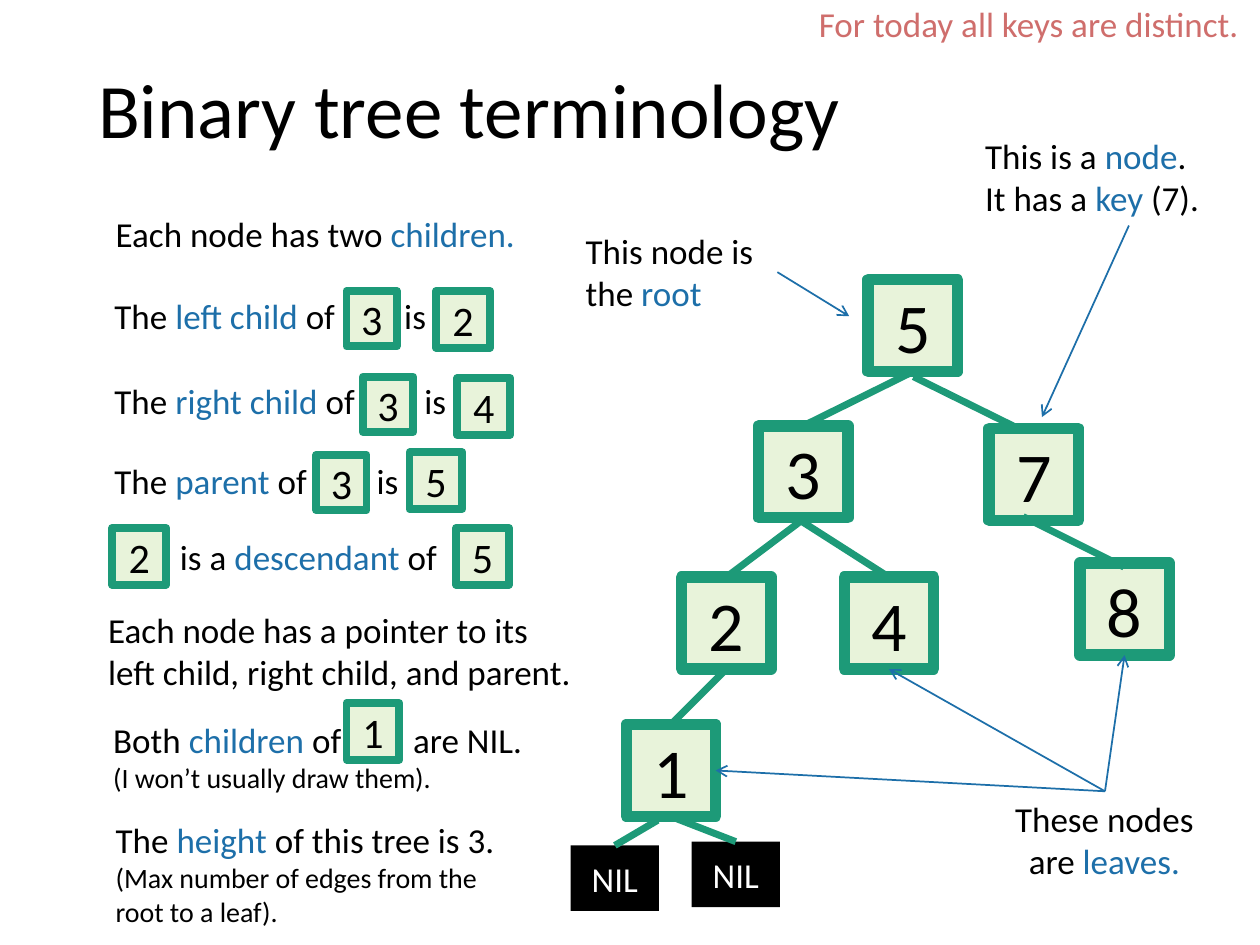
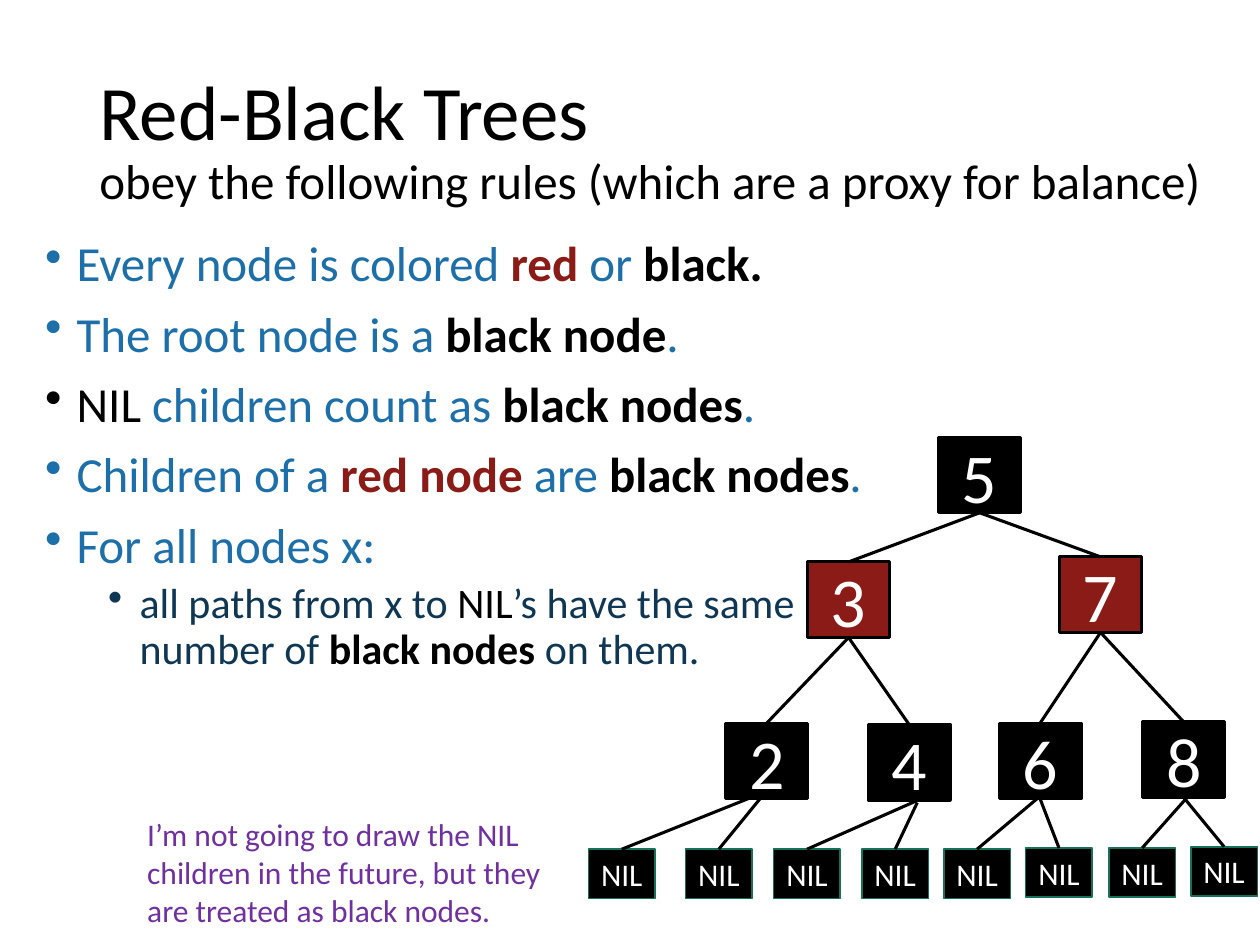
from lxml.etree import SubElement
from pptx import Presentation
from pptx.dml.color import RGBColor
from pptx.enum.shapes import MSO_CONNECTOR as CONNECTOR, MSO_SHAPE as SHAPE
from pptx.enum.text import MSO_ANCHOR as ANCHOR, PP_ALIGN as ALIGN
from pptx.oxml.ns import qn
from pptx.util import Emu, Pt

# Shared look: 100 px to the inch
SCALE = 9144
FONT = "Calibri"
BLACK, WHITE, BLUE, NAVY = "000000", "FFFFFF", "1D6FA9", "0F3754"
GREEN, PALE, DARK_GREEN = "1D9A78", "E8F3DA", "157259"
RED, ROSE, PURPLE = "8B1B17", "CF6E6C", "7030A0"
TOP, LEFT, BOTTOM, RIGHT = range(4)

# Box styles: fill, line colour, line width, text colour, text size
TREE_NODE = (PALE, GREEN, 6.5, BLACK, 40)
INLINE_NODE = (PALE, GREEN, 4.5, BLACK, 24)
NIL_PLAIN = (BLACK, None, 0, WHITE, 20)
BLACK_NODE = (BLACK, BLACK, 1.75, WHITE, 40)
RED_NODE = (RED, BLACK, 1.75, WHITE, 40)
NIL_SMALL = (BLACK, DARK_GREEN, 1, WHITE, 18)

# Slide 1. A run is (text, colour[, size[, bold]]).
TERMS_TITLE = [[("Binary tree terminology", BLACK, 44)]]
TERMS_NODES = {"4": (670, 458), "2": (541, 458), "8": (857, 447), "7": (785, 340),
               "1": (497, 575), "3": (602, 338), "5": (689, 222)}
TERMS_NILS = {"right NIL": (549, 668), "left NIL": (453, 671)}

# A connector end is a point, or a box name with one of its sides
TERMS_EDGES = [
    ((725, 299), (804, 338)),
    ((812, 410), (892, 450)),
    ((635, 413), ("4", TOP)),
    (("5", BOTTOM), ("3", TOP)),
    ((635, 414), ("2", TOP)),
    (("2", BOTTOM), ("1", TOP)),
    ((522, 651), ("left NIL", TOP)),
    (("1", BOTTOM), ("right NIL", TOP)),
]
LEAVES_LABEL = (877, 628)
TERMS_ARROWS = [
    ((896, 179), (827, 331)),
    ((617, 216), (674, 251)),
    (LEAVES_LABEL, ("1", RIGHT)),
    (LEAVES_LABEL, ("4", BOTTOM)),
    (LEAVES_LABEL, ("8", BOTTOM)),
]

# Tree labels: area, alignment, paragraphs
TERMS_LABELS = [
    ((455, 177, 163, 77), ALIGN.LEFT,
     [[("This node is the ", BLACK), ("root", BLUE)]]),
    ((772, 102, 248, 77), ALIGN.LEFT,
     [[("This is a ", BLACK), ("node", BLUE), (".", BLACK)],
      [("It has a ", BLACK), ("key", BLUE), (" (7).", BLACK)]]),
    ((788, 628, 177, 77), ALIGN.CENTER,
     [[("These nodes are ", BLACK), ("leaves.", BLUE)]]),
    ((640, -3, 375, 44), ALIGN.LEFT,
     [[("For today all keys are distinct.", ROSE)]]),
]

# Statements: area, tab stop past the inline node, paragraphs
STATEMENTS = [
    ((82, 164, 370, 44), None,
     [[("Each node has two ", BLACK), ("children.", BLUE)]]),
    ((81, 229, 302, 44), 230,
     [[("The ", BLACK), ("left child ", BLUE), ("of\tis", BLACK)]]),
    ((81, 296, 361, 44), 246,
     [[("The ", BLACK), ("right child ", BLUE), ("of\tis", BLACK)]]),
    ((81, 360, 361, 44), 208,
     [[("The ", BLACK), ("parent ", BLUE), ("of\tis", BLACK)]]),
    ((133, 420, 345, 44), None,
     [[("is a ", BLACK), ("descendant", BLUE), (" of", BLACK)]]),
    ((76, 478, 389, 77), None,
     [[("Each node has a pointer to its left child, right child, and parent.", BLACK)]]),
    ((80, 565, 367, 71), 238,
     [[("Both ", BLACK), ("children ", BLUE), ("of\tare NIL.", BLACK)],
      [("(I won’t usually draw them).", BLACK, 16)]]),
    ((82, 645, 336, 98), None,
     [[("The ", BLACK), ("height ", BLUE), ("of this tree is 3. ", BLACK),
       ("(Max number of edges from the root to a leaf).", BLACK, 16)]]),
]
INLINE_NODES = [
    ("3", (275, 231, 40, 44)), ("2", (346, 231, 43, 45)),
    ("3", (288, 299, 40, 44)), ("4", (363, 300, 42, 45)),
    ("3", (251, 361, 40, 44)), ("5", (325, 359, 42, 45)),
    ("2", (89, 419, 43, 45)), ("5", (362, 419, 42, 45)),
    ("1", (275, 558, 42, 45)),
]

# Slide 2
RULES_TITLE = [
    [("Red-Black Trees", BLACK, 44)],
    [("obey the following rules (which are a proxy for balance)", BLACK, 28)],
]
RULES = [
    [("Every node is colored ", BLUE), ("red", RED, 28, True), (" or ", BLUE),
     ("black.", BLACK, 28, True)],
    [("The root node is a ", BLUE), ("black node", BLACK, 28, True), (".", BLUE)],
    [("NIL", BLACK), (" children count as ", BLUE), ("black nodes", BLACK, 28, True),
     (".", BLUE)],
    [("Children of a ", BLUE), ("red node ", RED, 28, True), ("are ", BLUE),
     ("black nodes", BLACK, 28, True), (".", BLUE)],
    [("For all nodes x:", BLUE)],
    [("all paths from x to ", NAVY, 24), ("NIL", BLACK, 24),
     ("’s have the same number of ", NAVY, 24), ("black nodes ", BLACK, 24, True),
     ("on them.", NAVY, 24)],
]
RULE_LEVELS = [0, 0, 0, 0, 0, 1]
LEVEL_LAYOUT = [(25, 10), (75, 5)]  # text indent, space before
NIL_NOTE = [[("I’m not going to draw the NIL children in the future, "
              "but they are treated as black nodes.", PURPLE)]]
RULES_NODES = {"4": (689, 575), "2": (576, 574), "8": (907, 573), "7": (841, 442),
               "3": (641, 446), "5": (745, 347), "6": (793, 574)}
RED_KEYS = "37"
RULES_NILS = [(467, 674), (544, 674), (614, 674), (684, 674),
              (749, 674), (814, 673), (880, 673), (945, 672)]
RULES_CHILDREN = {"5": "37", "3": "24", "7": "68"}
# Where the line to each NIL starts, left to right
NIL_STARTS = [(601, 631), (604, 633), (731, 634), (728, 637),
              (823, 634), ("6", BOTTOM), (943, 632), ("8", BOTTOM)]


def color(hex_string):
    return RGBColor.from_string(hex_string)


def px(*lengths):
    return [Emu(length * SCALE) for length in lengths]


def style_font(font, size, hex_string, bold=False):
    font.name = FONT
    font.size = Pt(size)
    font.bold = bold
    font.color.rgb = color(hex_string)


def add_text(slide, area, paragraphs, size=20, align=ALIGN.LEFT, tab=None,
             spacing=None, anchor=ANCHOR.TOP):
    text_frame = slide.shapes.add_textbox(*px(*area)).text_frame
    text_frame.word_wrap = True
    text_frame.vertical_anchor = anchor
    for index, runs in enumerate(paragraphs):
        paragraph = text_frame.add_paragraph() if index else text_frame.paragraphs[0]
        paragraph.alignment = align
        if spacing:
            paragraph.line_spacing = spacing
        if tab:
            tabs = SubElement(paragraph._p.get_or_add_pPr(), qn("a:tabLst"))
            SubElement(tabs, qn("a:tab"), pos=str(tab * SCALE), algn="l")
        for text, hex_string, *extra in runs:
            run = paragraph.add_run()
            run.text = text
            run_size, bold = (extra + [size, False][len(extra):])
            style_font(run.font, run_size, hex_string, bold)
    return text_frame


def add_title(slide, area, paragraphs):
    add_text(slide, area, paragraphs, spacing=0.9, anchor=ANCHOR.MIDDLE)


def add_box(slide, area, text, style):
    fill, line, width, text_color, size = style
    shape = slide.shapes.add_shape(SHAPE.RECTANGLE, *px(*area))
    shape.shadow.inherit = False
    shape.fill.solid()
    shape.fill.fore_color.rgb = color(fill)
    if line:
        shape.line.color.rgb = color(line)
        shape.line.width = Pt(width)
    else:
        shape.line.fill.background()
    shape.text_frame.text = text
    paragraph = shape.text_frame.paragraphs[0]
    paragraph.alignment = ALIGN.CENTER
    style_font(paragraph.runs[0].font, size, text_color)
    return shape


def add_line(slide, boxes, start, end, hex_string, width, arrow=False):
    joined = [point[0] in boxes for point in (start, end)]
    points = [(0, 0) if join else point for join, point in zip(joined, (start, end))]
    connector = slide.shapes.add_connector(CONNECTOR.STRAIGHT, *px(*points[0], *points[1]))
    if joined[0]:
        connector.begin_connect(boxes[start[0]], start[1])
    if joined[1]:
        connector.end_connect(boxes[end[0]], end[1])
    connector.line.color.rgb = color(hex_string)
    connector.line.width = Pt(width)
    if arrow:
        SubElement(connector.line._get_or_add_ln(), qn("a:tailEnd"), type="arrow")
    SubElement(connector._element.spPr, qn("a:effectLst"))


def add_bullets(text_frame):
    for index, (paragraph, level) in enumerate(zip(text_frame.paragraphs, RULE_LEVELS)):
        indent, before = LEVEL_LAYOUT[level]
        paragraph.level = level
        if index:
            paragraph.space_before = Pt(before)
        properties = paragraph._p.get_or_add_pPr()
        properties.set("marL", str(indent * SCALE))
        properties.set("indent", str(-25 * SCALE))
        SubElement(properties, qn("a:buChar"), char="•")


def build_terminology(slide):
    add_title(slide, (68, 46, 862, 89), TERMS_TITLE)

    # Tree
    boxes = {key: add_box(slide, (*place, 71, 73), key, TREE_NODE)
             for key, place in TERMS_NODES.items()}
    for name, place in TERMS_NILS.items():
        boxes[name] = add_box(slide, (*place, 70, 52), "NIL", NIL_PLAIN)
    for start, end in TERMS_EDGES:
        add_line(slide, boxes, start, end, GREEN, 4)

    # Labels pointing at the tree
    for area, align, paragraphs in TERMS_LABELS:
        add_text(slide, area, paragraphs, align=align)
    for start, end in TERMS_ARROWS:
        add_line(slide, boxes, start, end, BLUE, 1, arrow=True)

    # Statements with inline nodes
    for area, tab, paragraphs in STATEMENTS:
        add_text(slide, area, paragraphs, tab=tab)
    for key, area in INLINE_NODES:
        add_box(slide, area, key, INLINE_NODE)


def build_rules(slide):
    add_title(slide, (69, 40, 945, 145), RULES_TITLE)
    add_bullets(add_text(slide, (26, 185, 701, 476), RULES, size=28, spacing=0.9))

    # Tree
    boxes = {key: add_box(slide, (*place, 65, 60), key,
                          RED_NODE if key in RED_KEYS else BLACK_NODE)
             for key, place in RULES_NODES.items()}
    for parent, children in RULES_CHILDREN.items():
        for child in children:
            add_line(slide, boxes, (parent, BOTTOM), (child, TOP), BLACK, 1.75)

    # NIL children
    for index, (place, start) in enumerate(zip(RULES_NILS, NIL_STARTS)):
        name = f"NIL {index}"
        boxes[name] = add_box(slide, (*place, 53, 39), "NIL", NIL_SMALL)
        add_line(slide, boxes, start, (name, TOP), BLACK, 1.75)
    add_text(slide, (107, 642, 343, 101), NIL_NOTE, size=18)


def main():
    presentation = Presentation()
    presentation.slide_width, presentation.slide_height = px(1000, 750)
    blank = presentation.slide_layouts[6]
    for build in (build_terminology, build_rules):
        build(presentation.slides.add_slide(blank))
    presentation.save("out.pptx")


if __name__ == "__main__":
    main()
